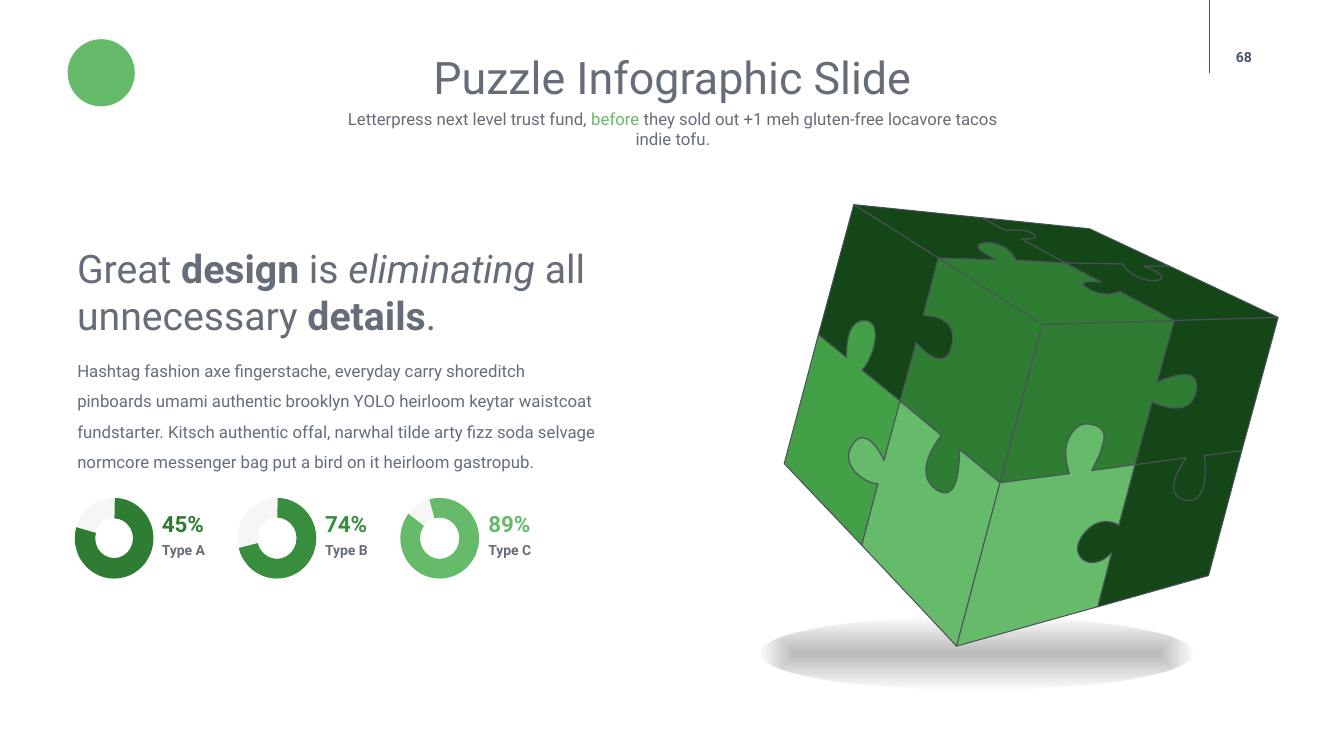
from itertools import islice

from lxml import etree
from pptx import Presentation
from pptx.dml.color import RGBColor
from pptx.enum import shapes, text
from pptx.oxml import ns, parse_xml
from pptx.util import Pt

# Colours and font
DARK = RGBColor(0x14, 0x46, 0x18)
FOREST = RGBColor(0x2E, 0x7D, 0x32)
MEDIUM = RGBColor(0x38, 0x8E, 0x3C)
GRASS = RGBColor(0x43, 0xA0, 0x47)
LIGHT = RGBColor(0x66, 0xBB, 0x6A)
GREY = RGBColor(0x65, 0x6D, 0x78)
NAVY = RGBColor(0x44, 0x54, 0x6A)
OUTLINE = RGBColor(0x4C, 0x52, 0x5A)
PALE = RGBColor(0xF6, 0xF6, 0xF6)
FONT = "Roboto"

# Text content: each run is (text, style)
TITLE = [("Puzzle Infographic Slide", {})]
SUBTITLE = [
    ("Letterpress next level trust fund, ", {}),
    ("before", {"color": LIGHT}),
    (" they sold out +1 meh gluten-free locavore tacos indie tofu.", {}),
]
HEADING = [
    ("Great ", {}), ("design", {"bold": True}), (" is ", {}),
    ("eliminating", {"italic": True}), (" all unnecessary ", {}),
    ("details", {"bold": True}), (".", {}),
]
BODY = [(
    "Hashtag fashion axe fingerstache, everyday carry shoreditch pinboards umami "
    "authentic brooklyn YOLO heirloom keytar waistcoat fundstarter. Kitsch authentic "
    "offal, narwhal tilde arty fizz soda selvage normcore messenger bag put a bird on "
    "it heirloom gastropub.", {})]
# Share, label, colour, arc adjustments
STATISTICS = [
    ("45%", "Type A", FOREST, (162.64, 117.75, 0.26)),
    ("74%", "Type B", MEDIUM, (162.64, 99.36, 0.25)),
    ("89%", "Type C", LIGHT, (153.14, 130.79, 0.25)),
]

# Cube geometry in grid units of 0.72 points
GRID = Pt(0.72)
CORNERS = {
    "A": (847, 203), "B": (974, 216), "C": (1081, 227),
    "D": (931, 256), "E": (1057, 261), "F": (1160, 264),
    "G": (1034, 322), "H": (1165, 318), "I": (1268, 315),
    "J": (812, 332), "K": (893, 398), "L": (992, 479),
    "M": (778, 460), "N": (855, 541), "O": (949, 641),
    "P": (1126, 461), "Q": (1232, 447), "R": (1089, 602), "S": (1199, 571),
}
# Knob on the edge between two corners: its foot, then three points per curve
KNOBS = {
    "BE": [(998, 229), (1004, 228), (1020, 227), (1026, 233),
           (1030, 237), (1020, 237), (1013, 237)],
    "EF": [(1114, 262), (1117, 271), (1136, 281), (1149, 278),
           (1160, 276), (1146, 268), (1135, 264)],
    "DE": [(990, 258), (979, 253), (960, 243), (977, 241),
           (996, 240), (1005, 252), (1008, 258)],
    "EH": [(1093, 280), (1082, 279), (1067, 279), (1079, 286),
           (1092, 294), (1104, 292), (1111, 289)],
    "DK": [(916, 313), (927, 313), (951, 317), (944, 344),
           (938, 367), (919, 352), (909, 340)],
    "JK": [(840, 355), (840, 344), (840, 318), (858, 318),
           (877, 319), (866, 357), (855, 367)],
    "KL": [(934, 432), (925, 443), (907, 471), (929, 486),
           (949, 499), (952, 468), (952, 446)],
    "KN": [(877, 457), (872, 446), (858, 423), (846, 441),
           (832, 461), (858, 480), (871, 480)],
    "LP": [(1061, 470), (1059, 464), (1056, 451), (1058, 442),
           (1060, 434), (1067, 418), (1082, 421), (1099, 424), (1096, 435), (1093, 444),
           (1092, 451), (1085, 462), (1083, 467)],
    "HP": [(1148, 379), (1162, 373), (1190, 363), (1187, 386),
           (1184, 413), (1156, 405), (1143, 399)],
    "PQ": [(1177, 454), (1168, 467), (1155, 491), (1175, 496),
           (1198, 501), (1196, 468), (1195, 452)],
    "PR": [(1110, 521), (1105, 518), (1089, 511), (1074, 531),
           (1058, 553), (1084, 570), (1103, 548)],
}
PIECES = [
    ("BCFE", DARK), ("ABED", DARK), ("ADKJ", DARK), ("DEHG", FOREST),
    ("DGLK", FOREST), ("GHPL", FOREST), ("PQSR", DARK), ("EFIH", DARK),
    ("HIQP", DARK), ("JKNM", GRASS), ("LPRO", LIGHT), ("KLON", LIGHT),
]


def place(shape, left, top, width, height):
    shape.left, shape.top = Pt(left), Pt(top)
    shape.width, shape.height = Pt(width), Pt(height)


def write(shape, runs, size, color=GREY, align=text.PP_ALIGN.LEFT, spacing=1.0,
          bold=False, inset=True, anchor=text.MSO_ANCHOR.TOP):
    frame = shape.text_frame
    frame.word_wrap = True
    frame.auto_size = text.MSO_AUTO_SIZE.NONE
    frame.vertical_anchor = anchor
    if not inset:
        frame.margin_left = frame.margin_right = Pt(0)
        frame.margin_top = frame.margin_bottom = Pt(0)
    paragraph = frame.paragraphs[0]
    if shape.is_placeholder:
        properties = paragraph._p.get_or_add_pPr()
        properties.set("marL", "0")
        properties.set("indent", "0")
        etree.SubElement(properties, ns.qn("a:buNone"))
    paragraph.alignment = align
    paragraph.line_spacing = spacing
    paragraph.space_before = Pt(0)
    for words, style in runs:
        run = paragraph.add_run()
        run.text = words
        run.font.name, run.font.size = FONT, Pt(size)
        run.font.bold = style.get("bold", bold)
        run.font.italic = style.get("italic", False)
        run.font.color.rgb = style.get("color", color)


def add_text(slide, box, runs, size, **options):
    write(slide.shapes.add_textbox(*map(Pt, box)), runs, size, **options)


def add_filled(slide, kind, box, color):
    shape = slide.shapes.add_shape(kind, *map(Pt, box))
    shape.shadow.inherit = False
    shape.fill.solid()
    shape.fill.fore_color.rgb = color
    shape.line.fill.background()
    return shape


def add_piece(slide, loop, color):
    """Draw one puzzle piece along the edges joining its corners."""
    points, steps = [], []
    for start, end in zip(loop, loop[1:] + loop[0]):
        knob = KNOBS.get(start + end) or KNOBS.get(end + start, [])[::-1]
        if knob:
            points += knob
            steps += [1] + [3] * (len(knob) // 3)
        points.append(CORNERS[end])
        steps.append(1)
    builder = slide.shapes.build_freeform(*CORNERS[loop[0]], scale=GRID)
    builder.add_line_segments(points, close=True)
    piece = builder.convert_to_shape()
    # Turn each triple of knob points into a curve
    outline = next(piece.element.iter(ns.qn("a:path")))
    segments = iter(outline.findall(ns.qn("a:lnTo")))
    for step in steps:
        group = list(islice(segments, step))
        if step == 3:
            curve = etree.Element(ns.qn("a:cubicBezTo"))
            group[0].addprevious(curve)
            for segment in group:
                curve.append(segment[0])
                outline.remove(segment)
    piece.shadow.inherit = False
    piece.fill.solid()
    piece.fill.fore_color.rgb = color
    piece.line.color.rgb = OUTLINE
    piece.line.width = Pt(0.75)


def main():
    presentation = Presentation()
    presentation.slide_width, presentation.slide_height = Pt(960), Pt(540)
    slide = presentation.slides.add_slide(presentation.slide_layouts[1])
    center = text.PP_ALIGN.CENTER

    # Header: emblem, page number and its rule, title, subtitle
    add_filled(slide, shapes.MSO_SHAPE.OVAL, (48.3, 28, 48, 48), LIGHT)
    rule = slide.shapes.add_connector(
        shapes.MSO_CONNECTOR.STRAIGHT, Pt(864), Pt(0), Pt(864), Pt(52.5))
    rule.line.color.rgb, rule.line.width = NAVY, Pt(1)
    etree.SubElement(rule.element.spPr, ns.qn("a:effectLst"))
    add_text(slide, (859.7, 26, 57.6, 28.8), [("68", {})], 10, color=NAVY, align=center,
             bold=True, inset=False, anchor=text.MSO_ANCHOR.MIDDLE)
    title, body = slide.placeholders
    place(title, 183, 31.7, 594.7, 46)
    write(title, TITLE, 32, align=center)
    add_text(slide, (230.4, 74.2, 500.4, 36), SUBTITLE, 12, align=center)

    # Soft shadow under the cube
    shadow = add_filled(slide, shapes.MSO_SHAPE.OVAL, (542.9, 440.6, 309.6, 51.8), DARK)
    solid = shadow.element.spPr.find(ns.qn("a:solidFill"))
    shadow.element.spPr.replace(solid, parse_xml(
        f'<a:gradFill {ns.nsdecls("a")} rotWithShape="1"><a:gsLst>'
        '<a:gs pos="0"><a:srgbClr val="000000"><a:alpha val="27000"/></a:srgbClr></a:gs>'
        '<a:gs pos="100000"><a:srgbClr val="000000"><a:alpha val="0"/></a:srgbClr></a:gs>'
        '</a:gsLst><a:path path="shape"><a:fillToRect l="50000" t="50000" r="50000" '
        'b="50000"/></a:path></a:gradFill>'))

    # Puzzle cube
    for loop, color in PIECES:
        add_piece(slide, loop, color)

    # Heading and paragraph
    add_text(slide, (48, 170.7, 393, 75), HEADING, 28)
    place(body, 48, 247, 390, 94.3)
    write(body, BODY, 12, spacing=1.5)

    # Ring statistics
    for index, (share, label, color, arc) in enumerate(STATISTICS):
        ring = (53.4 + 116.3 * index, 355.7, 56.2, 57.6)
        add_filled(slide, shapes.MSO_SHAPE.DONUT, ring, PALE)
        band = add_filled(slide, shapes.MSO_SHAPE.BLOCK_ARC, ring, color)
        for position, value in enumerate(arc):
            band.adjustments[position] = value
        left = 115.6 + 116.6 * index
        add_text(slide, (left, 366.5, 36, 20.9), [(share, {})], 16, color=color,
                 spacing=0.9, bold=True, inset=False)
        add_text(slide, (left, 388.1, 36, 16.6), [(label, {})], 10,
                 spacing=0.9, bold=True, inset=False)

    presentation.save("out.pptx")


if __name__ == "__main__":
    main()
